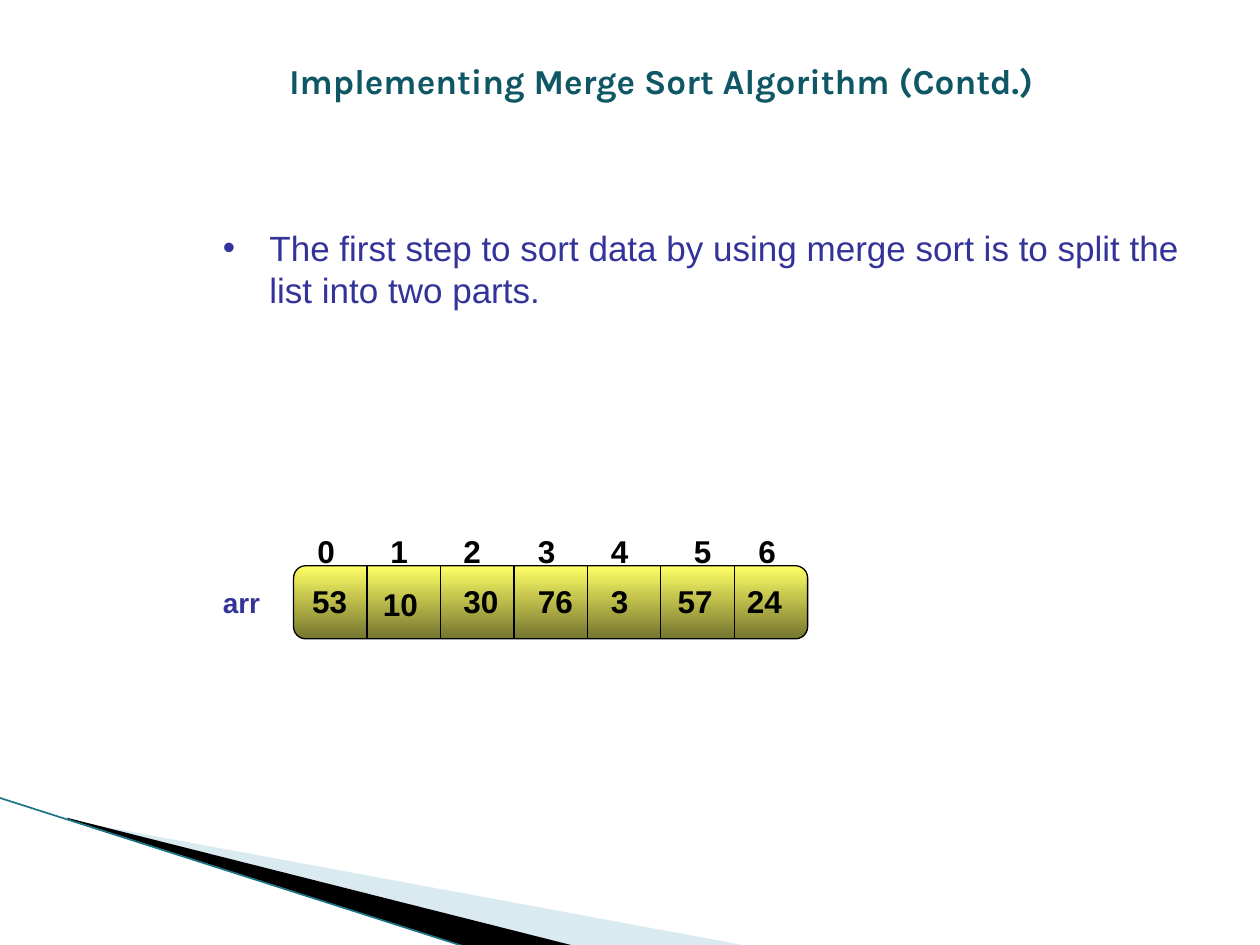
import pptx
import pptx.dml.color
import pptx.enum.shapes
import pptx.enum.text
import pptx.oxml
import pptx.oxml.ns
import pptx.util
from pptx.util import Inches

NAVY = "333399"
BLACK = "000000"
ARRAY_LEFT, ARRAY_TOP, ARRAY_WIDTH, ARRAY_HEIGHT = 2.33, 4.49, 4.08, 0.58
TITLE_FORMAT = {"name": "Karla", "size": pptx.util.Pt(20), "bold": True}
BODY_FORMAT = {"name": "Arial", "size": pptx.util.Pt(20), "bold": False}
NAME_FORMAT = {"name": "Arial", "size": pptx.util.Pt(16), "bold": True}
NUMBER_FORMAT = {"name": "Arial", "size": pptx.util.Pt(18), "bold": True}

# Value, left and top of each number in the array
VALUES = [("53", 2.38, 4.57), ("10", 2.94, 4.59), ("30", 3.58, 4.57),
          ("76", 4.17, 4.57), ("3", 4.75, 4.57), ("57", 5.28, 4.57),
          ("24", 5.83, 4.57)]
INDEX_LEFTS = [2.42, 3, 3.58, 4.17, 4.75, 5.41, 5.92]


def rgb(value):
    return pptx.dml.color.RGBColor.from_string(value)


def add_xml(parent, tag, **attributes):
    child = pptx.oxml.parse_xml(f"<a:{tag} {pptx.oxml.ns.nsdecls('a')}/>")
    for name, value in attributes.items():
        child.set(name, str(value))
    parent.append(child)
    return child


def format_text(paragraph, text, values, color):
    paragraph.text = text
    font = paragraph.runs[0].font
    for name, value in values.items():
        setattr(font, name, value)
    font.color.rgb = rgb(color)


def add_label(slide, text, box, values, color=BLACK, wrap=False):
    label = slide.shapes.add_textbox(*map(Inches, box))
    frame = label.text_frame
    frame.word_wrap = wrap
    if not wrap:
        frame.auto_size = pptx.enum.text.MSO_AUTO_SIZE.SHAPE_TO_FIT_TEXT
    paragraph = frame.paragraphs[0]
    format_text(paragraph, text, values, color)
    return paragraph


def add_line(slide, start, end, color, width):
    line = slide.shapes.add_connector(
        pptx.enum.shapes.MSO_CONNECTOR.STRAIGHT,
        *map(Inches, (*start, *end)))
    line.line.color.rgb = rgb(color)
    line.line.width = pptx.util.Pt(width)
    add_xml(line._element.spPr, "effectLst")


def add_wedge(slide, points, color, opacity=100):
    start, *rest = [tuple(map(Inches, point)) for point in points]
    builder = slide.shapes.build_freeform(*start)
    builder.add_line_segments(rest, close=True)
    wedge = builder.convert_to_shape()
    wedge.shadow.inherit = False
    wedge.fill.solid()
    wedge.fill.fore_color.rgb = rgb(color)
    wedge.line.fill.background()
    if opacity < 100:
        color_element = wedge._element.spPr.find(
            ".//" + pptx.oxml.ns.qn("a:srgbClr"))
        add_xml(color_element, "alpha", val=opacity * 1000)


def set_title(slide, text):
    title = slide.shapes.title
    box = {"left": 1.5, "top": 0.42, "width": 7.5, "height": 0.44}
    for name, value in box.items():
        setattr(title, name, Inches(value))
    frame = title.text_frame
    frame.auto_size = pptx.enum.text.MSO_AUTO_SIZE.NONE
    frame.vertical_anchor = pptx.enum.text.MSO_ANCHOR.TOP
    paragraph = frame.paragraphs[0]
    paragraph.alignment = pptx.enum.text.PP_ALIGN.CENTER
    format_text(paragraph, text, TITLE_FORMAT, "105766")


def add_bullet(slide, text):
    paragraph = add_label(slide, text, (1.67, 1.75, 8, 4.58), BODY_FORMAT,
                          NAVY, wrap=True)
    properties = paragraph._p.get_or_add_pPr()
    properties.set("marL", str(Inches(0.37)))
    properties.set("indent", str(-Inches(0.37)))
    add_xml(add_xml(properties, "buClr"), "srgbClr", val=NAVY)
    add_xml(properties, "buFont", typeface="Arial")
    add_xml(properties, "buChar", char="•")


def add_array(slide):
    # Rounded bar with a vertical gradient
    bar = slide.shapes.add_shape(
        pptx.enum.shapes.MSO_SHAPE.ROUNDED_RECTANGLE,
        *map(Inches, (ARRAY_LEFT, ARRAY_TOP, ARRAY_WIDTH, ARRAY_HEIGHT)))
    bar.shadow.inherit = False
    bar.fill.gradient()
    bar.fill.gradient_angle = 270
    for stop, color in zip(bar.fill.gradient_stops, ("FFFF66", "75752F")):
        stop.color.rgb = rgb(color)
    bar.line.color.rgb = rgb(BLACK)
    bar.line.width = pptx.util.Pt(0.75)

    # Cell dividers
    for cell in range(1, len(VALUES)):
        x = ARRAY_LEFT + cell * ARRAY_WIDTH / len(VALUES)
        add_line(slide, (x, ARRAY_TOP), (x, ARRAY_TOP + ARRAY_HEIGHT),
                 BLACK, 0.75)

    # Array name, indexes and values
    add_label(slide, "arr", (1.67, 4.6, 0.52, 0.37), NAME_FORMAT, NAVY)
    for index, left in enumerate(INDEX_LEFTS):
        add_label(slide, str(index), (left, 4.17, 0.34, 0.4), NUMBER_FORMAT)
    for value, left, top in VALUES:
        add_label(slide, value, (left, top, 0.5, 0.4), NUMBER_FORMAT,
                  wrap=True)


def main():
    deck = pptx.Presentation()
    deck.slide_width, deck.slide_height = Inches(10), Inches(7.5)
    slide = deck.slides.add_slide(deck.slide_layouts.get_by_name("Title Only"))

    # Corner decoration
    add_wedge(slide, [(0.55, 6.51), (5.95, 7.51), (4.56, 7.51), (0.55, 6.5)],
              "A0CBDC", opacity=40)
    add_wedge(slide, [(0.53, 6.49), (4.57, 7.51), (3.72, 7.52), (0.54, 6.5)],
              BLACK)
    add_line(slide, (-0.01, 6.33), (3.71, 7.52), "1B7587", 0.95)

    # Content
    set_title(slide, "Implementing Merge Sort Algorithm (Contd.)")
    add_bullet(slide, "The first step to sort data by using merge sort is to "
                      "split the list into two parts.")
    add_array(slide)
    deck.save("out.pptx")


if __name__ == "__main__":
    main()
